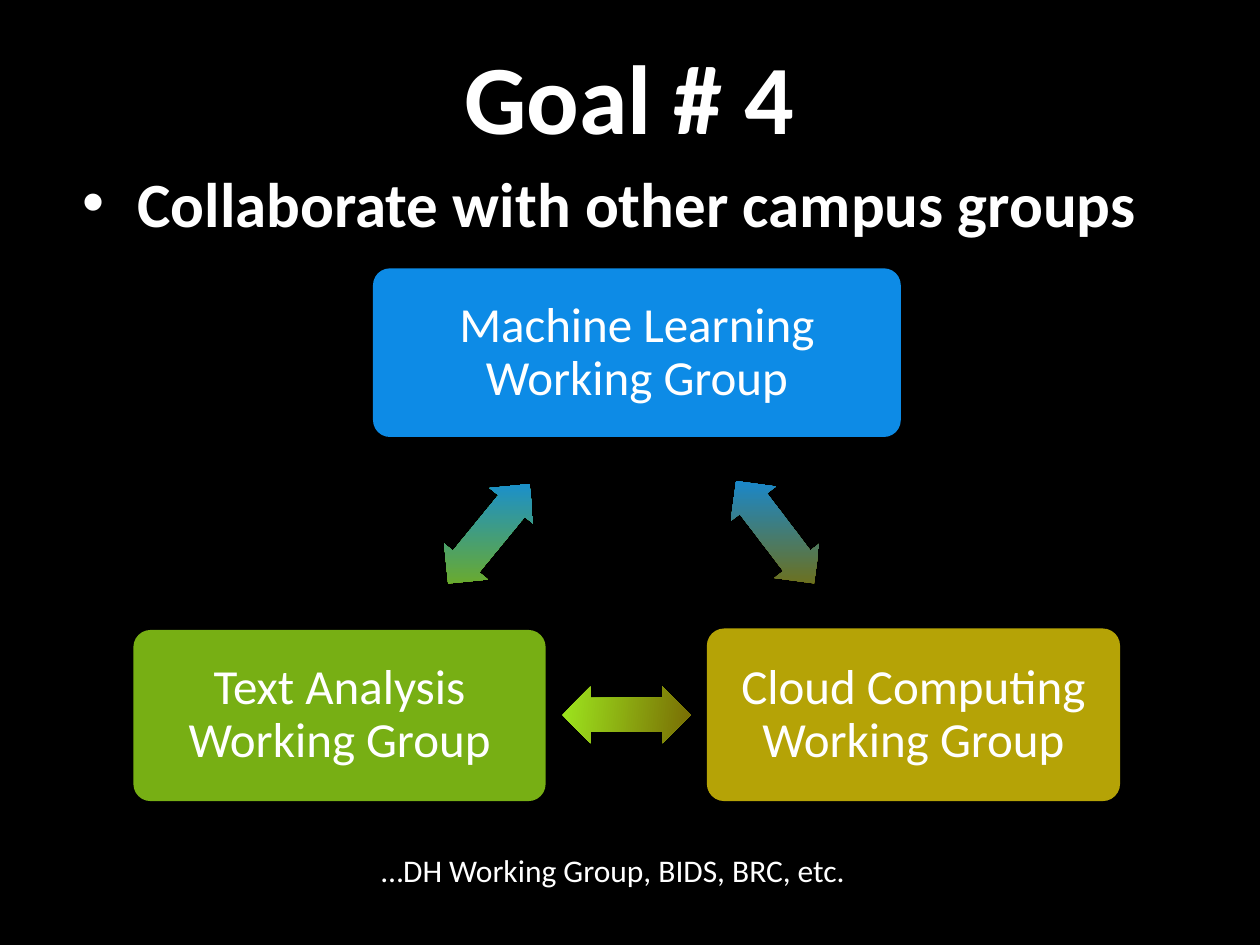
"""Build the Goal # 4 slide: three campus groups joined by arrows."""
from pptx import Presentation, util as u
from pptx.dml.color import RGBColor
from pptx.enum import shapes, text
from pptx.oxml import ns, xmlchemy

BLACK = RGBColor(0x00, 0x00, 0x00)
WHITE = RGBColor(0xFF, 0xFF, 0xFF)
BLUE = RGBColor(0x0D, 0x8B, 0xE6)
GOLD = RGBColor(0xB5, 0xA3, 0x06)
GREEN = RGBColor(0x77, 0xAF, 0x14)
LIME = RGBColor(0x9D, 0xE6, 0x1E)
OLIVE = RGBColor(0x79, 0x6D, 0x04)


def write(par, words, size, bold=False):
    run = par.add_run()
    run.text = words
    font = run.font
    font.name, font.size, font.bold = "Calibri", u.Pt(size), bold
    font.color.rgb = WHITE


def place(item, *box):
    item.left, item.top, item.width, item.height = map(u.Cm, box)


deck = Presentation()
deck.slide_width, deck.slide_height = u.Cm(25.4), u.Cm(19.05)
slide = deck.slides.add_slide(deck.slide_layouts[1])
slide.background.fill.solid()
slide.background.fill.fore_color.rgb = BLACK

title, body = slide.placeholders
place(title, 2.16, 0.3, 21.06, 3.23)
par = title.text_frame.paragraphs[0]
par.alignment = text.PP_ALIGN.CENTER
write(par, "Goal # 4", 56, True)

place(body, 1.4, 3.18, 22.71, 3.07)
body.text_frame.auto_size = text.MSO_AUTO_SIZE.NONE
par = body.text_frame.paragraphs[0]
par.space_before = u.Pt(20)
write(par, "Collaborate with other campus groups", 36, True)
props = par._p.get_or_add_pPr()
props.set("marL", str(u.Cm(1.12)))
props.set("indent", str(-u.Cm(1.12)))
dot = xmlchemy.OxmlElement("a:buChar")
dot.set("char", "•")
props.append(dot)

groups = [
    ("Machine Learning", BLUE, 7.52, 5.41, 10.64, 3.4),
    ("Cloud Computing", GOLD, 14.25, 12.67, 8.33, 3.48),
    ("Text Analysis", GREEN, 2.69, 12.7, 8.31, 3.45),
]
for name, hue, *box in groups:
    card = slide.shapes.add_shape(shapes.MSO_SHAPE.ROUNDED_RECTANGLE, *map(u.Cm, box))
    card.adjustments[0] = 0.1
    card.shadow.inherit = False
    card.fill.solid()
    card.fill.fore_color.rgb = hue
    card.line.fill.background()
    frame = card.text_frame
    frame.word_wrap = True
    frame.vertical_anchor = text.MSO_ANCHOR.MIDDLE
    frame.margin_left = frame.margin_right = u.Cm(0.3)
    frame.margin_top = frame.margin_bottom = u.Cm(0.3)
    par = frame.paragraphs[0]
    par.alignment = text.PP_ALIGN.CENTER
    par.line_spacing = 0.9
    write(par, f"{name} Working Group", 28)

arrows = [
    (14.33, 10.16, 52.7, OLIVE, BLUE, 90),
    (11.33, 13.84, 179.9, LIME, OLIVE, 354),
    (8.56, 10.19, 309.3, GREEN, BLUE, 90),
]
for left, top, turn, start, end, angle in arrows:
    arrow = slide.shapes.add_shape(
        shapes.MSO_SHAPE.LEFT_RIGHT_ARROW, u.Cm(left), u.Cm(top), u.Cm(2.59), u.Cm(1.14))
    arrow.rotation = turn
    arrow.adjustments[0], arrow.adjustments[1] = 0.6, 0.5
    arrow.shadow.inherit = False
    arrow.line.fill.background()
    arrow.fill.gradient()
    arrow.fill.gradient_angle = angle
    for stop, hue in zip(arrow.fill.gradient_stops, (start, end)):
        stop.color.rgb = hue
    arrow._element.spPr.find(ns.qn("a:gradFill")).set("rotWithShape", "0")

note = slide.shapes.add_textbox(u.Cm(7.44), u.Cm(17.04), u.Cm(10.54), u.Cm(1.02))
note.text_frame.word_wrap = True
write(note.text_frame.paragraphs[0], "…DH Working Group, BIDS, BRC, etc.", 18)

deck.save("out.pptx")
